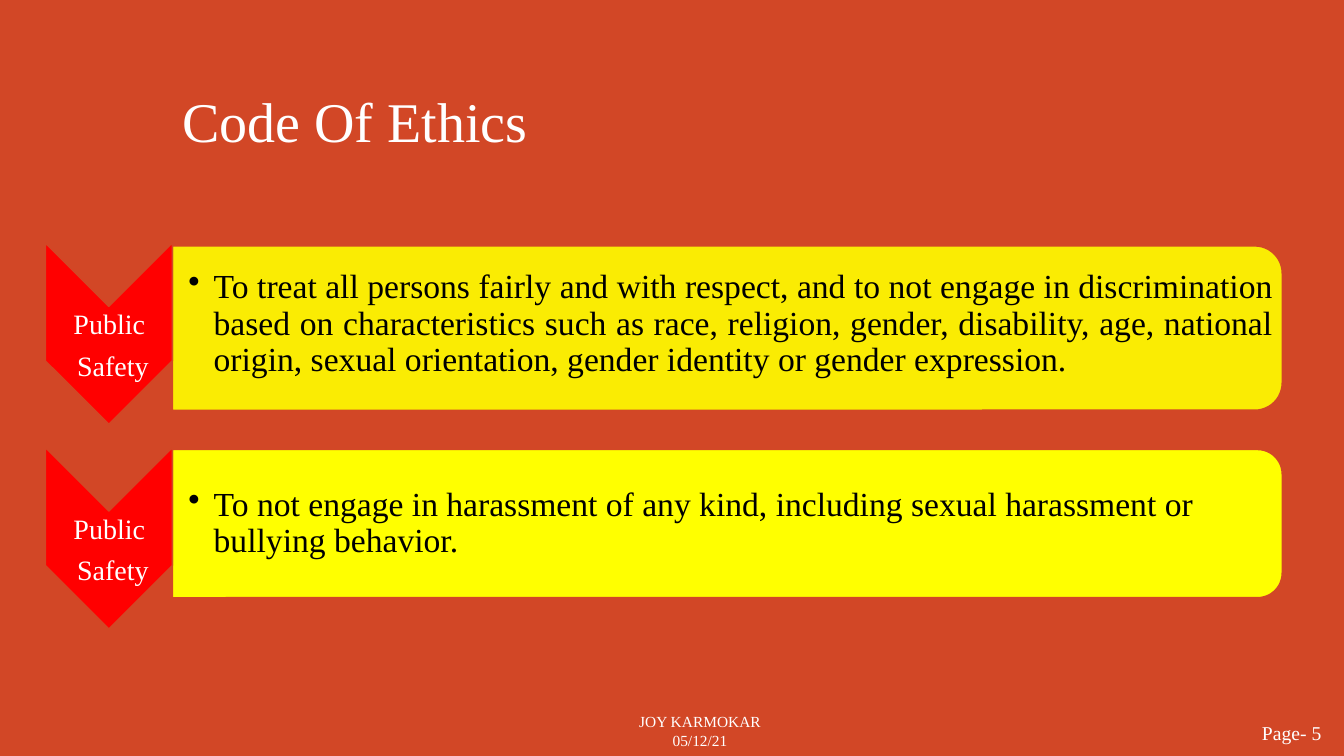
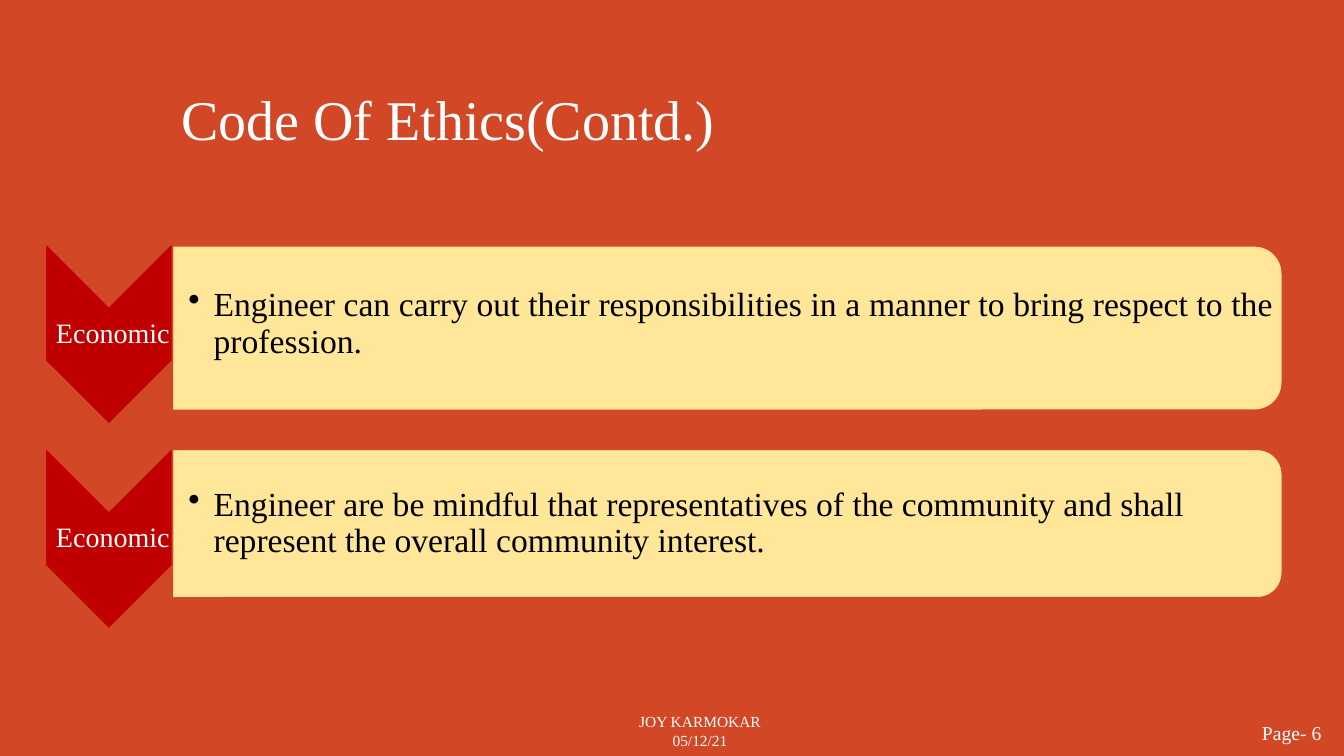
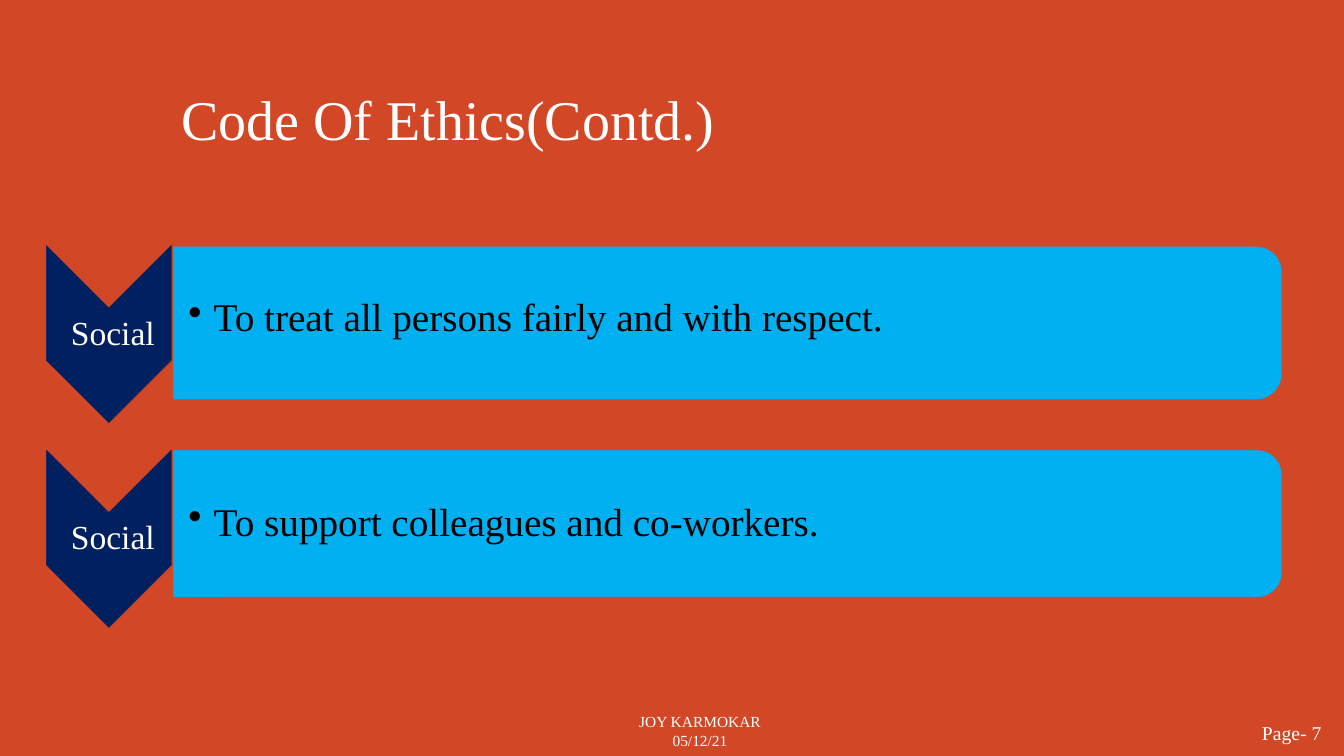
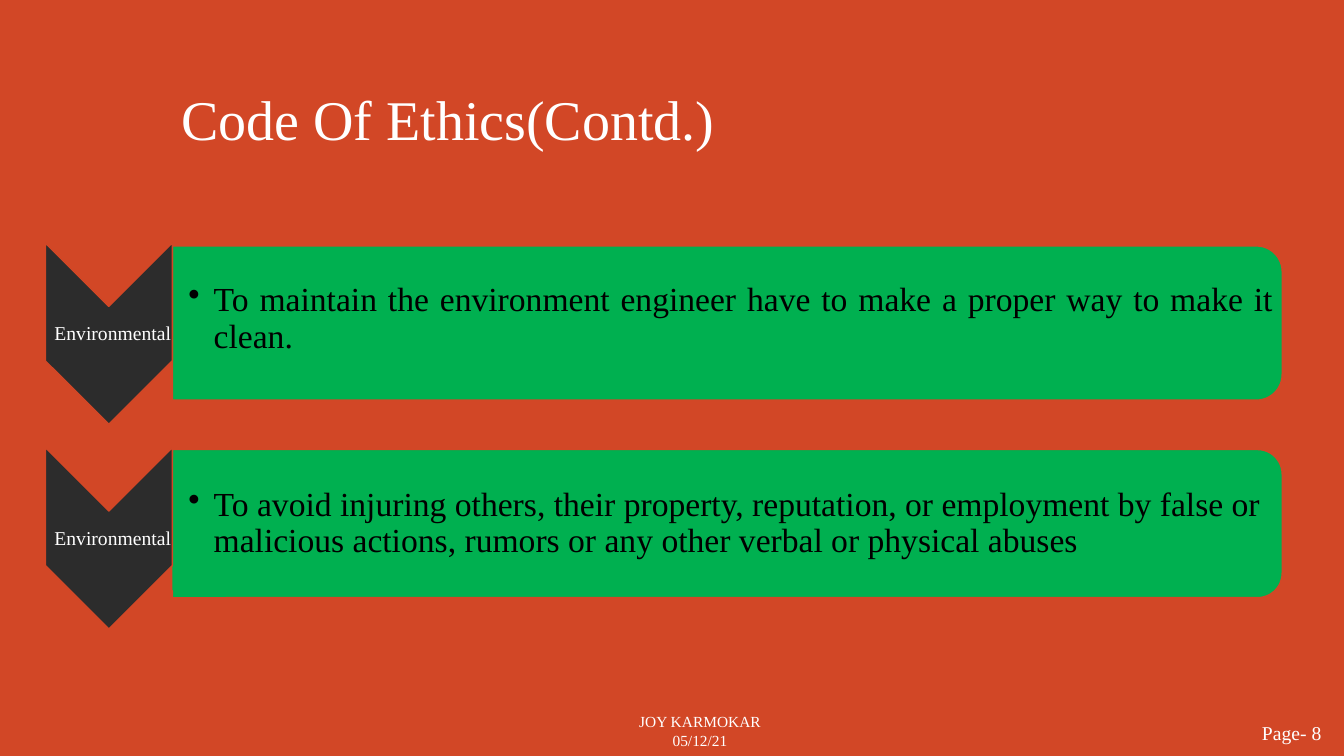
from lxml import etree
from pptx import Presentation
from pptx.dml.color import RGBColor
from pptx.enum.shapes import MSO_SHAPE as SHAPE
from pptx.enum.text import MSO_ANCHOR as ANCHOR, MSO_AUTO_SIZE as AUTO, PP_ALIGN as ALIGN
from pptx.oxml.ns import qn
from pptx.util import Inches, Pt

BACK, WHITE, BLACK = "D24726", "FFFFFF", "000000"
FONT = "Times New Roman"
COLUMNS, ROWS = 40, 30
FIRST_PAGE = 5
ROW_PITCH = 8.12
BAR_TOP, CHEVRON_TOP, LABEL_TOP = 9.76, 9.64, 11.68
SECOND_BAR_TOP, SECOND_BAR_HEIGHT = 17.84, 5.88


def rgb(value):
    """Turn a hex string into a colour."""
    return RGBColor.from_string(value)


class Deck:
    """Hold the shared style and the current slide."""

    def __init__(self):
        """Start a wide deck with a coloured master."""
        self.prs = Presentation()
        self.prs.slide_width, self.prs.slide_height = Inches(13.33), Inches(7.5)
        fill = self.prs.slide_master.background.fill
        fill.solid()
        fill.fore_color.rgb = rgb(BACK)

    def box(self, x, y, w, h):
        """Convert grid columns and rows to lengths."""
        col, row = self.prs.slide_width / COLUMNS, self.prs.slide_height / ROWS
        return int(x * col), int(y * row), int(w * col), int(h * row)

    def set_text(self, tf, text, size, color=WHITE, align=ALIGN.CENTER):
        """Fill a text frame and format its runs."""
        tf.text = text
        tf.word_wrap = True
        for p in tf.paragraphs:
            p.alignment = align
            for r in p.runs:
                r.font.size, r.font.name = Pt(size), FONT
                r.font.color.rgb = rgb(color)

    def text(self, place, text, size, **style):
        """Add a text box and return it."""
        sp = self.s.shapes.add_textbox(*self.box(*place))
        self.set_text(sp.text_frame, text, size, **style)
        return sp

    def inset(self, sp, left=0.01):
        """Give a text box thin margins, a middle anchor and tight lines."""
        tf = sp.text_frame
        tf.vertical_anchor = ANCHOR.MIDDLE
        tf.margin_left = Inches(left)
        tf.margin_top = tf.margin_right = tf.margin_bottom = Inches(0.01)
        for p in tf.paragraphs:
            p.line_spacing = 0.9

    def slide(self, title, page, place):
        """Add a slide with its title and footer."""
        self.s = self.prs.slides.add_slide(self.prs.slide_layouts[5])
        sp = self.s.shapes.title
        sp.left, sp.top, sp.width, sp.height = self.box(*place)
        self.set_text(sp.text_frame, title, 40, align=ALIGN.LEFT)
        sp.text_frame.auto_size = AUTO.NONE
        sp.text_frame.vertical_anchor = ANCHOR.TOP
        self.text((36.87, 28.4, 3.15, 1.36), f"Page- {page}", 14)
        self.text((18.39, 28.08, 4.89, 1.88), "JOY KARMOKAR\n05/12/21", 11)

    def turned(self, kind, place, color, alpha=None):
        """Add a shape turned a quarter that covers the given place."""
        x, y, w, h = self.box(*place)
        sp = self.s.shapes.add_shape(kind, x + (w - h) // 2, y + (h - w) // 2, h, w)
        sp.rotation = 90
        sp.shadow.inherit = False
        sp.fill.solid()
        sp.fill.fore_color.rgb = rgb(color)
        sp.line.color.rgb = rgb(BACK)
        sp.line.width = Pt(1)
        if alpha:
            clr = sp._element.spPr.find(qn("a:solidFill"))[0]
            etree.SubElement(clr, qn("a:alpha"), val=str(alpha * 1000))

    def bar(self, y, h, text, size, color, align, lift=0, alpha=None, panel=False):
        """Add a rounded bar with a bulleted sentence."""
        self.turned(SHAPE.ROUND_2_SAME_RECTANGLE, (5.13, y, 33.03, h), color, alpha)
        sp = self.text((5.13, y + 0.3 - lift, 32.79, h - 0.6), text, size,
                       color=BLACK, align=align)
        self.inset(sp, left=0.16)
        if panel:
            sp.fill.solid()
            sp.fill.fore_color.rgb = rgb(color)
        p = sp.text_frame.paragraphs[0]
        p.level = 1
        pPr = p._p.get_or_add_pPr()
        pPr.set("marL", str(Inches(0.25)))
        pPr.set("indent", str(-Inches(0.25)))
        etree.SubElement(pPr, qn("a:buChar"), char="•")

    def chevron(self, row, label, size, color):
        """Add a downward chevron with its label."""
        shift = row * ROW_PITCH
        self.turned(SHAPE.CHEVRON, (1.35, CHEVRON_TOP + shift, 3.78, 7.2), color)
        drop = 0.48 if "\n" in label else 0
        sp = self.text((1.47, LABEL_TOP + shift + drop, 3.78, 3.16), label, size)
        self.inset(sp)
        for p in sp.text_frame.paragraphs:
            p.space_after = Pt(0.4 * size)


SLIDES = [
    dict(title="Code Of Ethics", place=(5.13, 3.24, 14.46, 3.08),
         label="Public \nSafety", label_size=20, dark="FF0000", light="FFFF00",
         size=24, height=6.52, alpha=90,
         first="To treat all persons fairly and with respect, and to not engage in "
               "discrimination based on characteristics such as race, religion, gender, "
               "disability, age, national origin, sexual orientation, gender identity "
               "or gender expression.",
         second="To not engage in harassment of any kind, including sexual harassment "
                "or bullying behavior."),
    dict(label="Economic", label_size=20, dark="C00000", light="FFE699",
         size=24, height=6.52,
         first="Engineer can carry out their responsibilities in a manner to bring "
               "respect to the profession.",
         second="Engineer are be mindful that representatives of the community and "
                "shall represent the overall community interest."),
    dict(label="Social", label_size=24, dark="002060", light="00B0F0",
         size=28, height=6.12,
         first="To treat all persons fairly and with respect.",
         second="To support colleagues and co-workers."),
    dict(label="Environmental", label_size=14, dark="2C2C2C", light="00B050",
         size=24, height=6.12, panel=True,
         first="To maintain the environment engineer have to make a proper way to "
               "make it clean.",
         second="To avoid injuring others, their property, reputation, or employment "
                "by false or malicious actions, rumors or any other verbal or physical "
                "abuses"),
]


def main():
    """Build and save the deck."""
    deck = Deck()
    for page, d in enumerate(SLIDES, FIRST_PAGE):
        deck.slide(d.get("title", "Code Of Ethics(Contd.)"), page,
                   d.get("place", (5.1, 3.16, 18.18, 3.08)))
        deck.bar(BAR_TOP, d["height"], d["first"], d["size"], d["light"],
                 ALIGN.JUSTIFY, lift=0.16, alpha=d.get("alpha"))
        deck.bar(SECOND_BAR_TOP, SECOND_BAR_HEIGHT, d["second"], d["size"], d["light"],
                 ALIGN.LEFT, panel=d.get("panel", False))
        for row in range(2):
            deck.chevron(row, d["label"], d["label_size"], d["dark"])
    deck.prs.save("out.pptx")


if __name__ == "__main__":
    main()
